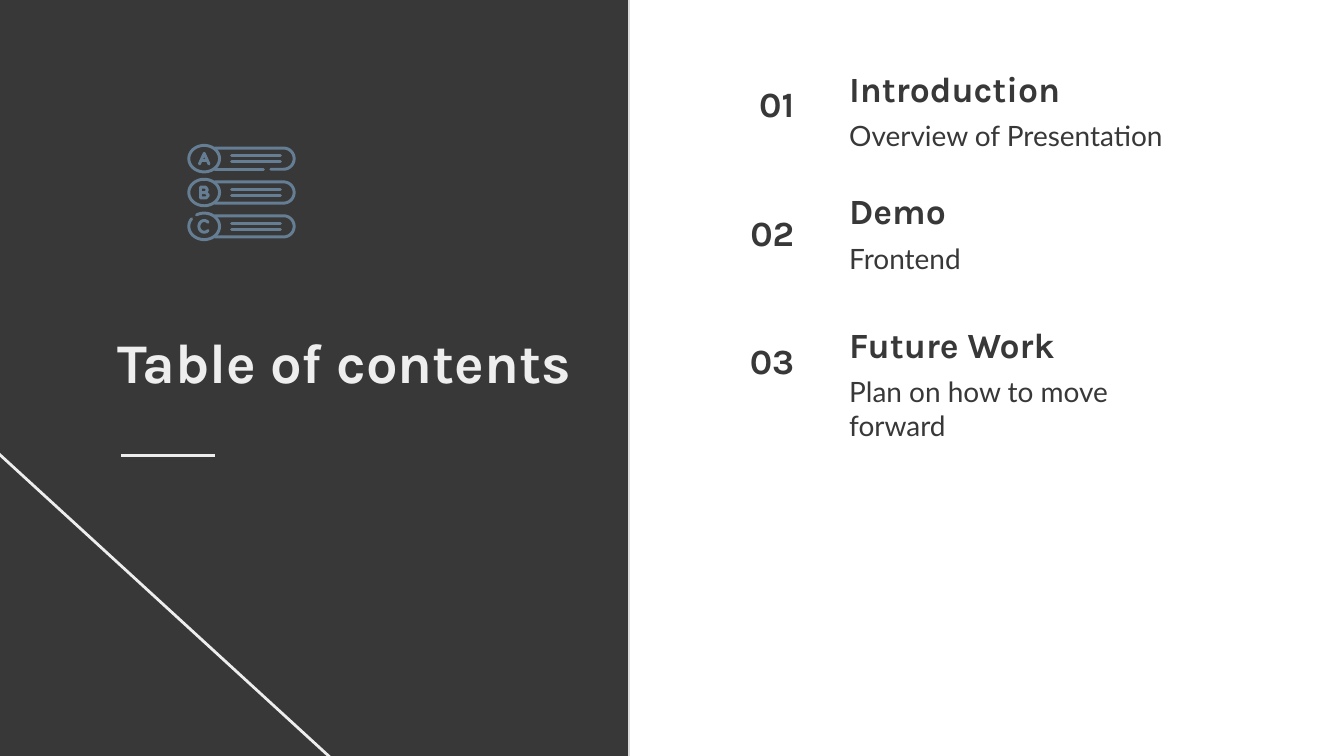
from dataclasses import dataclass
from math import cos, radians, sin

from pptx import Presentation
from pptx.dml.color import RGBColor
from pptx.enum.shapes import MSO_CONNECTOR, MSO_SHAPE
from pptx.enum.text import MSO_ANCHOR, MSO_AUTO_SIZE, PP_ALIGN
from pptx.oxml.ns import qn
from pptx.oxml.xmlchemy import OxmlElement
from pptx.util import Cm, Pt

DARK = RGBColor(0x38, 0x38, 0x38)
LIGHT = RGBColor(0xEE, 0xEE, 0xEE)
BORDER = RGBColor(0xDB, 0xDB, 0xDB)
STEEL = RGBColor(0x65, 0x7E, 0x93)
RECTANGLE = MSO_SHAPE.RECTANGLE
STRAIGHT = MSO_CONNECTOR.STRAIGHT
TOP, MIDDLE = MSO_ANCHOR.TOP, MSO_ANCHOR.MIDDLE
LEFT, RIGHT = PP_ALIGN.LEFT, PP_ALIGN.RIGHT
NO_AUTOFIT = MSO_AUTO_SIZE.NONE

HEADING_LEFT = 15.8
NUMBER_LEFT = 13.36
NUMBER_TOP, NUMBER_STEP = 1.55, 2.43
BADGE_X, BADGE_TOP, BADGE_STEP = 3.86, 3.0, 0.64

Point = tuple[float, float]
Stroke = list[Point]


@dataclass(frozen=True)
class TextStyle:
    font: str
    size: int
    color: RGBColor
    bold: bool = False
    anchor: MSO_ANCHOR = MIDDLE
    align: PP_ALIGN = LEFT


@dataclass(frozen=True)
class Entry:
    heading: str
    description: str
    top: float
    description_width: float


@dataclass(frozen=True)
class IconRow:
    letter: list[Stroke]
    tab_gap: bool = False
    badge_start: int = 0
    badge_end: int = 360


def arc(x: float, y: float, radius_x: float, radius_y: float,
        start: int, end: int) -> Stroke:
    return [(x + radius_x * cos(radians(angle)), y + radius_y * sin(radians(angle)))
            for angle in range(start, end + 1, 5)]


TITLE = TextStyle("Karla", 30, LIGHT, bold=True)
HEADING = TextStyle("Karla", 19, DARK, bold=True)
NUMBER = TextStyle("Karla", 19, DARK, bold=True, align=RIGHT)
DESCRIPTION = TextStyle("Lato", 15, DARK, anchor=TOP)

ENTRIES = [
    Entry("Introduction", "Overview of Presentation", 1.22, 8.15),
    Entry("Demo", "Frontend", 3.53, 6.81),
    Entry("Future Work", "Plan on how to move forward", 6.05, 6.81),
]

LETTER_A = [[(-0.09, 0.1), (0, -0.1), (0.09, 0.1)], [(-0.06, 0.04), (0.06, 0.04)]]
LETTER_B = [[(-0.07, 0), (0.03, 0), (0.06, -0.05), (0.03, -0.1), (-0.07, -0.1),
             (-0.07, 0.1), (0.04, 0.1), (0.08, 0.05), (0.03, 0)]]
LETTER_C = [arc(0, 0, 0.1, 0.11, 45, 315)]

ICON_ROWS = [
    IconRow(LETTER_A, tab_gap=True),
    IconRow(LETTER_B),
    IconRow(LETTER_C, badge_start=240, badge_end=575),
]


def write_text(shape, text: str, style: TextStyle) -> None:
    frame = shape.text_frame
    frame.word_wrap = True
    frame.auto_size = NO_AUTOFIT
    frame.vertical_anchor = style.anchor
    frame.margin_left = frame.margin_right = Cm(0.25)
    frame.margin_top = frame.margin_bottom = Cm(0.25)
    paragraph = frame.paragraphs[0]
    paragraph.text = text
    paragraph.alignment = style.align
    paragraph.font.name = style.font
    paragraph.font.size = Pt(style.size)
    paragraph.font.bold = style.bold
    paragraph.font.color.rgb = style.color


def add_text(slide, left: float, top: float, width: float, height: float,
             text: str, style: TextStyle) -> None:
    shape = slide.shapes.add_textbox(Cm(left), Cm(top), Cm(width), Cm(height))
    write_text(shape, text, style)


def add_line(slide, start: Point, end: Point):
    line = slide.shapes.add_connector(
        STRAIGHT, Cm(start[0]), Cm(start[1]), Cm(end[0]), Cm(end[1]))
    line.line.color.rgb = LIGHT
    line.line.width = Pt(1.5)
    line.element.spPr.append(OxmlElement("a:effectLst"))
    return line


def add_panel(slide):
    panel = slide.shapes.add_shape(RECTANGLE, Cm(-0.48), Cm(-0.18), Cm(12.37), Cm(14.66))
    panel.shadow.inherit = False
    panel.fill.solid()
    panel.fill.fore_color.rgb = DARK
    panel.line.color.rgb = BORDER
    panel.line.width = Pt(0.75)
    return panel


def add_stroke(group, stroke: Stroke) -> None:
    points = [(Cm(x), Cm(y)) for x, y in stroke]
    builder = group.shapes.build_freeform(*points[0])
    builder.add_line_segments(points[1:], close=False)
    shape = builder.convert_to_shape()
    shape.shadow.inherit = False
    shape.fill.background()
    shape.line.color.rgb = STEEL
    shape.line.width = Pt(1.6)
    shape.element.spPr.find(qn("a:ln")).set("cap", "rnd")


def tab_strokes(row: IconRow, y: float) -> list[Stroke]:
    outline = [(4.06, y - 0.2), *arc(5.36, y, 0.2, 0.2, -90, 90)]
    bottom_left = (4.06, y + 0.2)
    if row.tab_gap:
        return [[*outline, (5.12, y + 0.2)], [(4.98, y + 0.2), bottom_left]]
    return [[*outline, bottom_left]]


def add_icon(slide) -> None:
    group = slide.shapes.add_group_shape()
    for index, row in enumerate(ICON_ROWS):
        y = BADGE_TOP + index * BADGE_STEP
        badge = arc(BADGE_X, y, 0.29, 0.25, row.badge_start, row.badge_end)
        text_lines = [[(4.38, y + offset), (5.3, y + offset)] for offset in (-0.06, 0.06)]
        letter = [[(BADGE_X + dx, y + dy) for dx, dy in stroke] for stroke in row.letter]
        for stroke in [badge, *tab_strokes(row, y), *text_lines, *letter]:
            add_stroke(group, stroke)


def add_entry(slide, index: int, entry: Entry) -> None:
    add_text(slide, HEADING_LEFT, entry.top, 8.86, 0.91, entry.heading, HEADING)
    add_text(slide, HEADING_LEFT, entry.top + 0.78, entry.description_width, 0.66,
             entry.description, DESCRIPTION)
    add_text(slide, NUMBER_LEFT, NUMBER_TOP + index * NUMBER_STEP, 1.9, 0.81,
             f"{index + 1:02}", NUMBER)


def main() -> None:
    presentation = Presentation()
    presentation.slide_width = Cm(25.4)
    presentation.slide_height = Cm(14.29)
    slide = presentation.slides.add_slide(presentation.slide_layouts[5])

    title = slide.shapes.title
    title.left, title.top, title.width, title.height = Cm(1.98), Cm(6.1), Cm(9.5), Cm(1.47)
    write_text(title, "Table of contents", TITLE)

    for backdrop in (add_panel(slide), add_line(slide, (8.94, 16.79), (-4.45, 4.52))):
        title.element.addprevious(backdrop.element)

    add_line(slide, (2.29, 8.61), (4.06, 8.61))
    add_icon(slide)
    for index, entry in enumerate(ENTRIES):
        add_entry(slide, index, entry)

    presentation.save("out.pptx")


if __name__ == "__main__":
    main()
